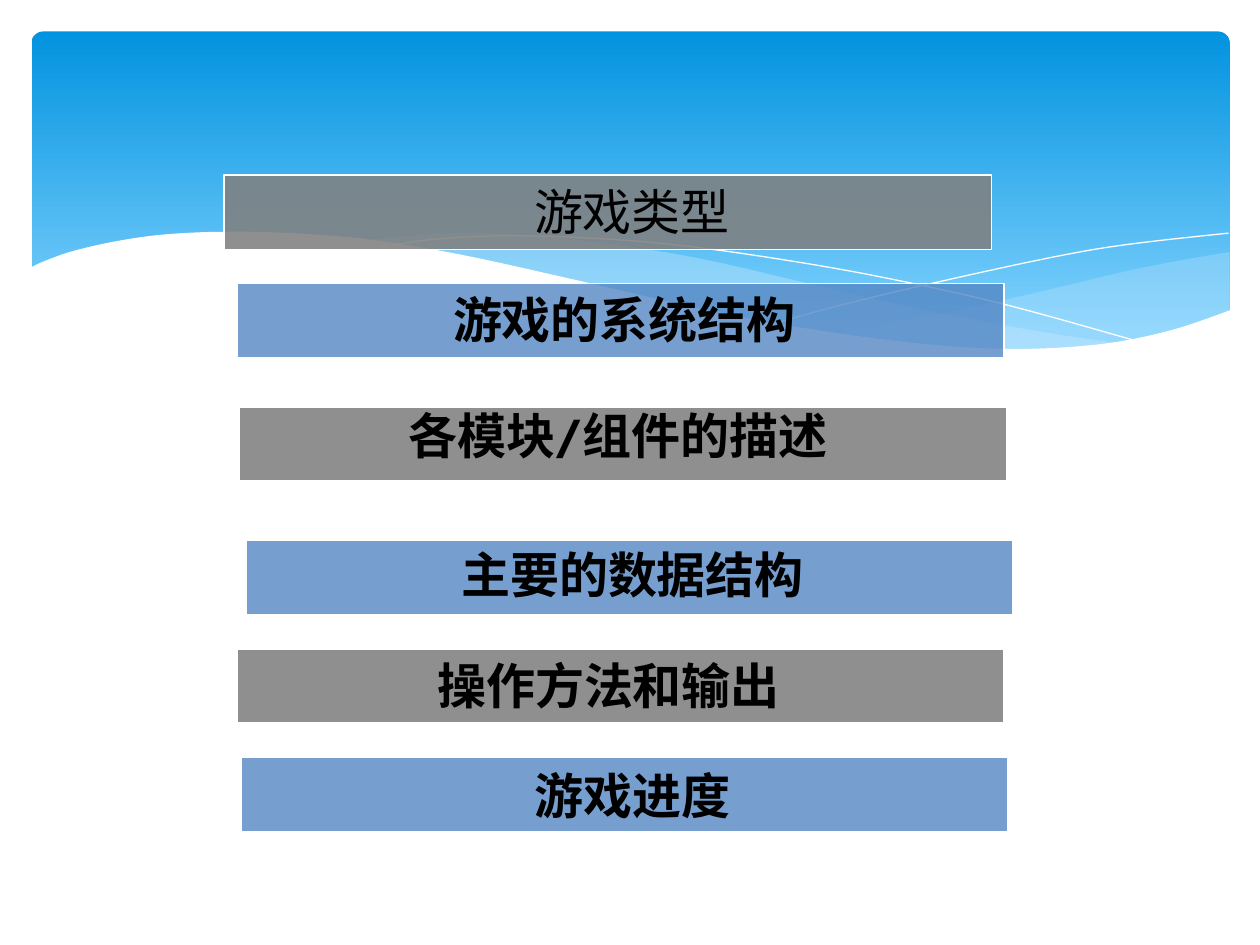
import pptx
import pptx.util
import pptx.dml.color
import pptx.enum.shapes
import pptx.enum.text
import pptx.oxml

RGB = pptx.dml.color.RGBColor
WHITE = RGB(0xFF, 0xFF, 0xFF)
BLACK = RGB(0, 0, 0)
SKY = RGB(0x02, 0x93, 0xE0)
PALE = RGB(0x83, 0xD3, 0xFE)
MIST = RGB(0xC6, 0xE7, 0xFC)
BLUE = RGB(0x54, 0x87, 0xC4)
GREY = RGB(0x80, 0x80, 0x80)

PX = 9144  # 100 px to the inch
KIND = pptx.enum.shapes.MSO_SHAPE


def smooth(knots, steps=8):
    """Points on a Catmull-Rom curve through the knots."""
    ends = [knots[0], *knots, knots[-1]]
    points = []
    for a, b, c, d in zip(ends, ends[1:], ends[2:], ends[3:]):
        for i in range(steps):
            t = i / steps
            points.append(tuple(
                q + t / 2 * (r - p + t * (2 * p - 5 * q + 4 * r - s
                                          + t * (3 * q - p - 3 * r + s)))
                for p, q, r, s in zip(a, b, c, d)))
    return points + [knots[-1]]


class Page:
    def __init__(self, deck, size=28):
        self.slide = deck.slides.add_slide(deck.slide_layouts[6])
        self.shapes = self.slide.shapes
        self.size = pptx.util.Pt(size)

    def paint(self, shape, fill=None, alpha=100, line=None, width=1):
        shape.shadow.inherit = False
        if fill is None:
            shape.fill.background()
        else:
            shape.fill.solid()
            shape.fill.fore_color.rgb = fill
            if alpha < 100:
                color = shape.fill._xPr.find(".//" + pptx.oxml.ns.qn("a:srgbClr"))
                node = pptx.oxml.parse_xml(
                    f'<a:alpha {pptx.oxml.ns.nsdecls("a")} val="{alpha * 1000}"/>')
                color.append(node)
        if line is None:
            shape.line.fill.background()
        else:
            shape.line.color.rgb = line
            shape.line.width = pptx.util.Pt(width)

    def sky(self, *box):
        shape = self.shapes.add_shape(KIND.ROUNDED_RECTANGLE, *(n * PX for n in box))
        shape.adjustments[0] = 0.034
        self.paint(shape)
        shape.fill.gradient()
        shape.fill.gradient_angle = 270
        for stop, color, place in zip(shape.fill.gradient_stops, (SKY, PALE), (0, 0.9)):
            stop.color.rgb = color
            stop.position = place

    def wave(self, points, closed=True, **style):
        spots = [(round(x * PX), round(y * PX)) for x, y in points]
        form = self.shapes.build_freeform(*spots[0])
        form.add_line_segments(spots[1:], close=closed)
        self.paint(form.convert_to_shape(), **style)

    def bar(self, left, top, fill, alpha):
        shape = self.shapes.add_shape(
            KIND.RECTANGLE, left * PX, top * PX, 609 * PX, 59 * PX)
        self.paint(shape, fill, alpha, WHITE)

    def label(self, text, box, font="Cabin", bold=True):
        frame = self.shapes.add_textbox(*(n * PX for n in box)).text_frame
        frame.word_wrap = True
        frame.auto_size = pptx.enum.text.MSO_AUTO_SIZE.SHAPE_TO_FIT_TEXT
        frame.text = text
        para = frame.paragraphs[0]
        para.alignment = pptx.enum.text.PP_ALIGN.CENTER
        style = para.runs[0].font
        style.name, style.size, style.bold = font, self.size, bold
        style.color.rgb = BLACK


# Knots of the wave edges
RIGHT_TOP = [(976, 200), (935, 207), (891, 216), (832, 230), (753, 248), (661, 265)]
RIGHT_LOW = [(661, 265), (719, 272), (769, 277), (814, 278), (863, 275), (905, 269),
             (942, 259), (976, 247)]
MID_TOP = [(893, 273), (837, 265), (775, 254), (706, 240), (629, 222), (569, 208),
           (514, 198), (442, 189), (380, 185), (328, 187), (286, 191)]
MID_LOW = [(286, 191), (342, 199), (404, 211), (449, 222), (530, 240), (601, 255),
           (665, 266), (722, 274), (773, 277), (818, 278), (857, 277), (893, 273)]
LONG = [(309, 195), (344, 190), (401, 187), (469, 189), (533, 194), (608, 204),
        (695, 219), (795, 241), (907, 272)]
SHORT = [(613, 257), (672, 241), (748, 223), (836, 204), (895, 194), (975, 185)]
FRONT = [(977, 246), (930, 262), (875, 273), (809, 277), (744, 274), (668, 265),
         (579, 250), (503, 233), (447, 220), (365, 202), (292, 190), (230, 185),
         (177, 184), (132, 186), (95, 191), (59, 199), (36, 207), (23, 213)]

GREYS = (GREY, 88)
BLUES = (BLUE, 80)
BARS = [(188, 225, BLUES), (190, 323, GREYS), (195, 429, BLUES),
        (188, 515, GREYS), (191, 601, BLUES)]
LABELS = [
    ("游戏的系统结构", (255, 225, 481, 88)),
    ("各模块/组件的描述", (294, 317, 393, 88)),
    ("主要的数据结构", (269, 427, 466, 88)),
    ("操作方法和输出", (250, 515, 466, 57)),
    ("游戏进度", (269, 603, 466, 57)),
]


def main():
    deck = pptx.Presentation()
    deck.slide_width, deck.slide_height = 1000 * PX, 750 * PX
    page = Page(deck)

    # Sky and waves
    page.sky(25, 25, 951, 270)
    page.wave(smooth(RIGHT_TOP) + smooth(RIGHT_LOW), fill=MIST, alpha=29)
    page.wave(smooth(MID_TOP) + smooth(MID_LOW), fill=MIST, alpha=40)
    for knots in (LONG, SHORT):
        page.wave(smooth(knots), closed=False, line=WHITE, width=0)
    page.wave(smooth(FRONT) + [(23, 329), (977, 329)], fill=WHITE)

    # Agenda bars and their labels
    for left, top, style in BARS:
        page.bar(left, top, *style)
    for text, box in LABELS:
        page.label(text, box)

    # First agenda item, in regular weight
    page.bar(178, 139, *GREYS)
    page.label("游戏类型", (261, 139, 481, 57), font="Arial", bold=False)

    deck.save("out.pptx")


if __name__ == "__main__":
    main()
